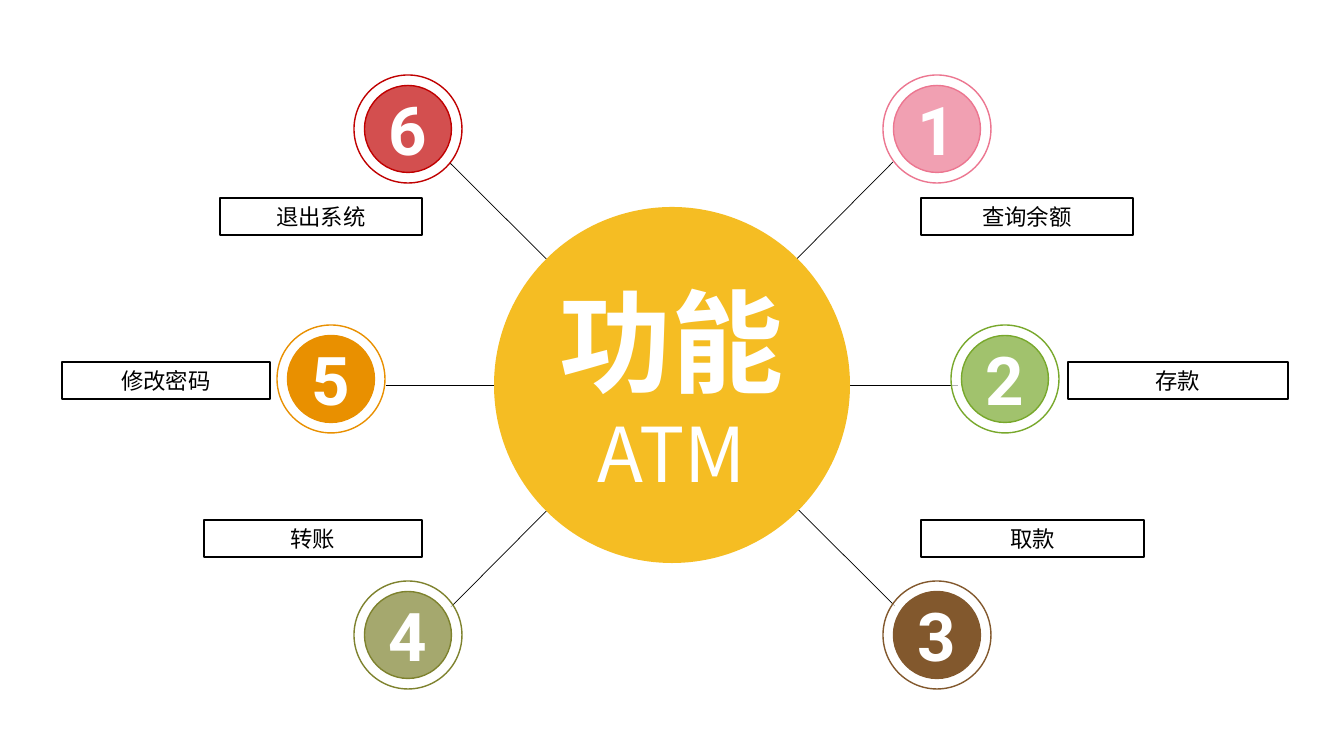
from lxml.etree import SubElement
from pptx import Presentation
from pptx.dml.color import RGBColor
from pptx.enum.shapes import MSO_CONNECTOR, MSO_SHAPE
from pptx.enum.text import MSO_ANCHOR, PP_ALIGN
from pptx.oxml.ns import qn
from pptx.util import Emu, Pt

SCALE = 914400 / 100.8
CJK = "Noto Sans CJK SC"
BLACK = RGBColor(0, 0, 0)
WHITE = RGBColor(255, 255, 255)
GOLD = RGBColor(0xF5, 0xBD, 0x23)
PINK = RGBColor(0xEC, 0x76, 0x90)
GREEN = RGBColor(0x78, 0xA8, 0x2C)
BROWN = RGBColor(0x82, 0x58, 0x2D)
OLIVE = RGBColor(0x7E, 0x82, 0x2E)
ORANGE = RGBColor(0xE9, 0x90, 0x00)
RED = RGBColor(0xC0, 0x00, 0x00)

RING, DISC, LABEL_HEIGHT = 108, 87, 37

SPOKES = [(451, 607, 893, 162), (386, 385, 958, 385), (895, 606, 450, 163)]

BADGES = [
    ("3", 883, 581, BROWN, 100),
    ("4", 354, 581, OLIVE, 69),
    ("2", 951, 325, GREEN, 69),
    ("5", 277, 325, ORANGE, 100),
    ("1", 883, 75, PINK, 69),
    ("6", 354, 75, RED, 69),
]

LABELS = [
    ("退出系统", 220, 198, 202),
    ("修改密码", 62, 362, 208),
    ("存款", 1068, 362, 220),
    ("查询余额", 921, 198, 212),
    ("转账", 204, 520, 218),
    ("取款", 921, 520, 223),
]


def px(value):
    return Emu(round(value * SCALE))


def add_shape(shapes, kind, x, y, w, h, fill=None, line=None, alpha=100):
    sp = shapes.add_shape(kind, px(x), px(y), px(w), px(h))
    sp.shadow.inherit = False
    if fill is None:
        sp.fill.background()
    else:
        sp.fill.solid()
        sp.fill.fore_color.rgb = fill
        if alpha < 100:
            color = sp.fill._xPr.find(qn("a:solidFill"))[0]
            SubElement(color, qn("a:alpha"), val=str(alpha * 1000))
    if line is None:
        sp.line.fill.background()
    else:
        sp.line.color.rgb = line
        sp.line.width = Pt(1)
    return sp


def set_text(sp, text, sizes, color, font=CJK, bolds=(False,)):
    tf = sp.text_frame
    tf.text = text
    tf.word_wrap = True
    tf.vertical_anchor = MSO_ANCHOR.MIDDLE
    tf.margin_left = tf.margin_right = tf.margin_top = tf.margin_bottom = 0
    for p, size, bold in zip(tf.paragraphs, sizes, bolds):
        p.alignment = PP_ALIGN.CENTER
        r = p.runs[0]
        r.font.size = Pt(size)
        r.font.bold = bold
        r.font.color.rgb = color
        r.font.name = font
        SubElement(r.font._element, qn("a:ea"), typeface=font)


def add_spoke(s, x1, y1, x2, y2):
    line = s.shapes.add_connector(MSO_CONNECTOR.STRAIGHT, px(x1), px(y1), px(x2), px(y2))
    line.line.color.rgb = BLACK
    line.line.width = Pt(0.5)
    SubElement(line._element.spPr, qn("a:effectLst"))


def add_hub(s):
    hub = add_shape(s.shapes, MSO_SHAPE.OVAL, 494, 207, 356, 356, GOLD)
    set_text(hub, "功能\nATM", (80, 54), WHITE, bolds=(True, False))


def add_badge(s, number, x, y, color, alpha):
    inset = (RING - DISC) / 2
    shapes = s.shapes.add_group_shape().shapes
    add_shape(shapes, MSO_SHAPE.OVAL, x, y, RING, RING, WHITE, color, 69)
    disc = add_shape(shapes, MSO_SHAPE.OVAL, x + inset, y + inset, DISC, DISC, color, color, alpha)
    set_text(disc, number, (48,), WHITE, "Roboto", (True,))


def add_label(s, text, x, y, width):
    label = add_shape(s.shapes, MSO_SHAPE.RECTANGLE, x, y, width, LABEL_HEIGHT, line=BLACK)
    set_text(label, text, (16,), BLACK)


def main():
    prs = Presentation()
    prs.slide_width, prs.slide_height = px(1344), px(756)
    s = prs.slides.add_slide(prs.slide_layouts[6])
    for spoke in SPOKES:
        add_spoke(s, *spoke)
    add_hub(s)
    for badge in BADGES:
        add_badge(s, *badge)
    for label in LABELS:
        add_label(s, *label)
    prs.save("out.pptx")


main()
